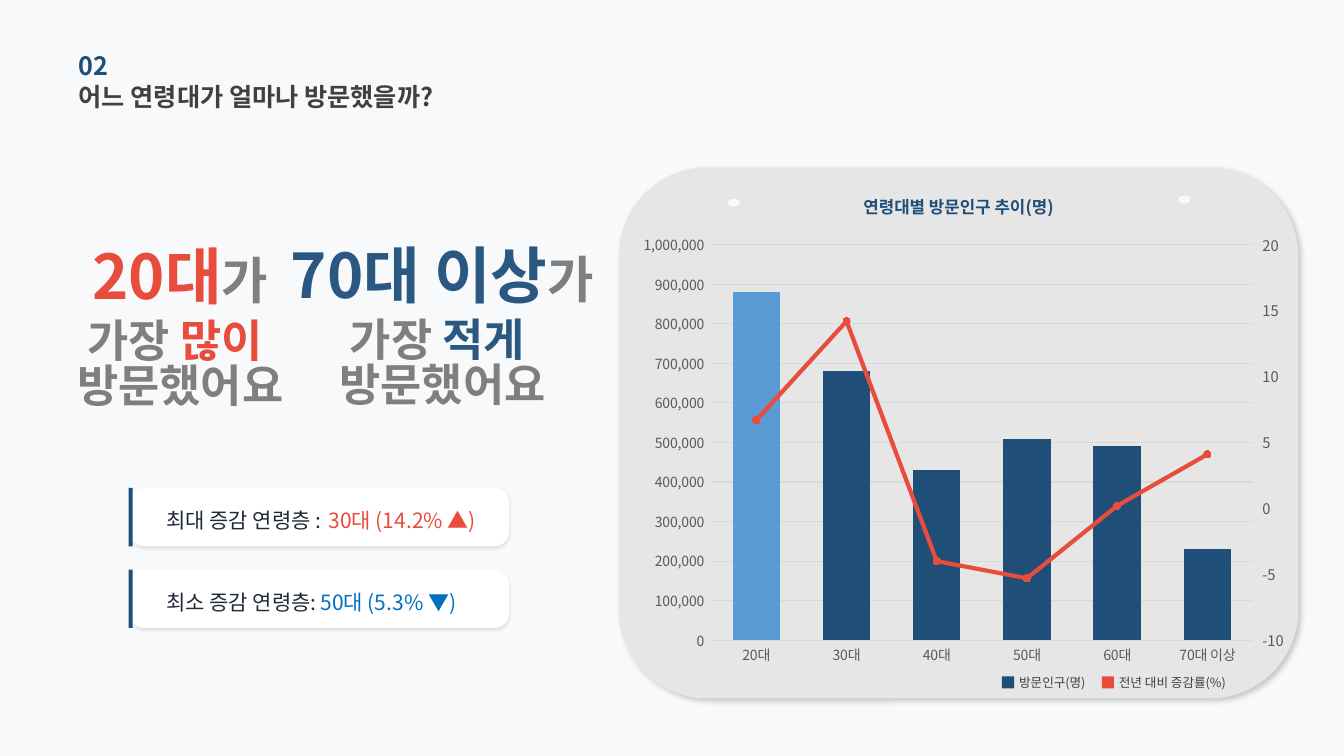
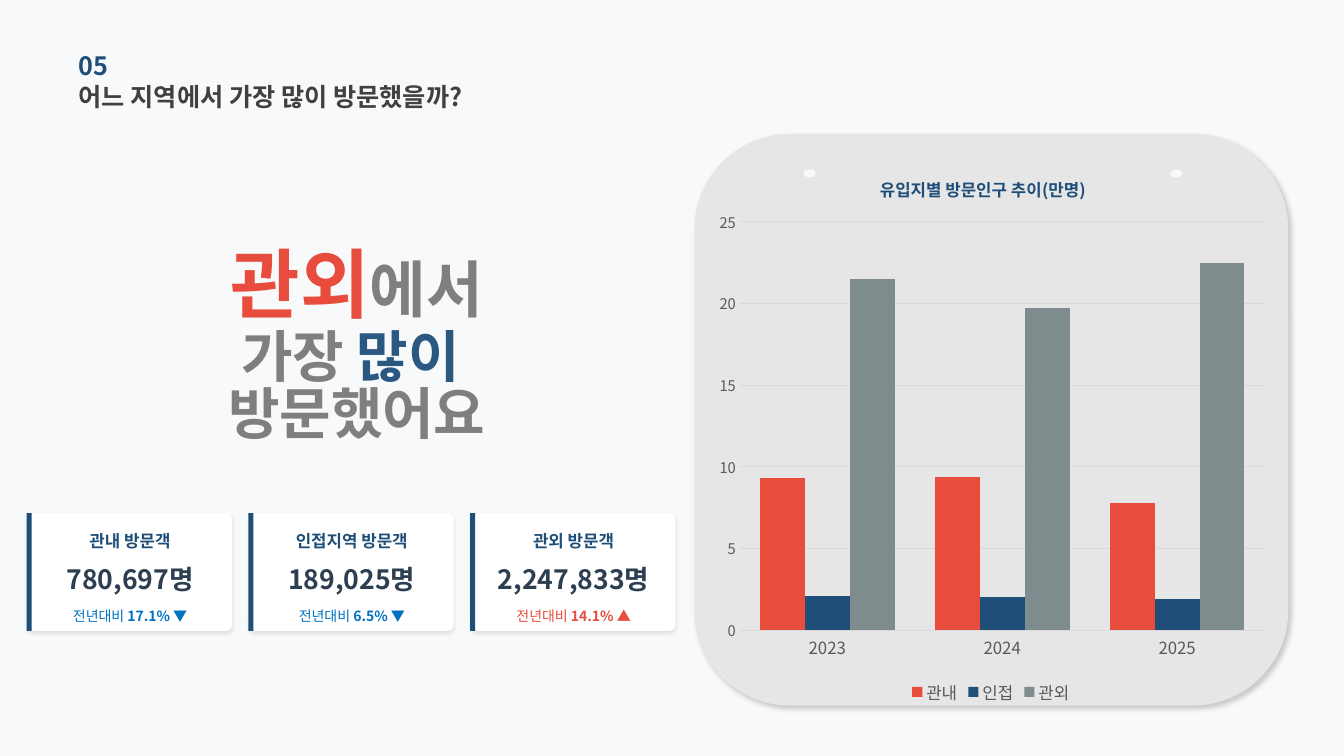
from dataclasses import dataclass
from typing import Any

import pptx
import pptx.chart.data
import pptx.dml.color
import pptx.enum.chart
import pptx.enum.shapes
import pptx.enum.text
import pptx.oxml.ns
import pptx.util

FACE = "Noto Sans CJK KR"
HUES = {
    "page": "F8F9FA", "panel": "E7E6E6", "white": "FFFFFF", "black": "000000",
    "navy": "1F4E79", "steel": "2B5880", "red": "E74C3C", "blue": "0070C0",
    "sky": "5B9BD5", "slate": "7F8C8D", "gray": "7F7F7F", "dark": "404040",
    "ink": "1F2937", "count": "2C3E50", "label": "595959", "grid": "D9D9D9",
}
# The slide is a grid of square cells, ten to the inch
COLS, ROWS = 133.33, 75
CELL = 91440

Box = tuple[float, float, float, float]
FORMS = pptx.enum.shapes.MSO_SHAPE
ALIGN = pptx.enum.text.PP_ALIGN
CHART = pptx.enum.chart
QN = pptx.oxml.ns.qn
NS = pptx.oxml.ns.nsdecls("a", "c")

@dataclass
class Run:
    text: str
    size: float
    hue: str
    bold: bool = False

@dataclass
class Shade:
    alpha: int
    blur: int
    dist: int
    angle: int

@dataclass
class Stat:
    label: str
    count: str
    change: str
    hue: str

DEEP, SOFT, LOW = Shade(20, 4, 3, 45), Shade(10, 2, 1, 90), Shade(10, 3, 2, 90)

def tint(name: str) -> pptx.dml.color.RGBColor:
    return pptx.dml.color.RGBColor.from_string(HUES[name])

def span(box: Box) -> list[int]:
    return [round(n * CELL) for n in box]

def put(item: Any, vals: dict[str, Any]) -> None:
    for key, val in vals.items():
        setattr(item, key, val)

def style(font: Any, size: float, hue: str, bold: bool = False) -> None:
    put(font, {"name": FACE, "size": pptx.util.Pt(size), "bold": bold})
    font.color.rgb = tint(hue)

def paint(fill: Any, hue: str) -> None:
    fill.solid()
    fill.fore_color.rgb = tint(hue)

def pen(line: Any, hue: str, width: float) -> None:
    line.color.rgb = tint(hue)
    line.width = pptx.util.Pt(width)

def shape(slide: Any, form: Any, box: Box, hue: str,
          shade: Shade | None = None, curve: float | None = None) -> None:
    item = slide.shapes.add_shape(form, *span(box))
    item.shadow.inherit = False
    paint(item.fill, hue)
    item.line.fill.background()
    if curve is not None:
        item.adjustments[0] = curve
    if shade:
        item.element.spPr.find(QN("a:effectLst")).append(pptx.oxml.parse_xml(
            f'<a:outerShdw {NS} blurRad="{shade.blur * 12700}" '
            f'dist="{shade.dist * 12700}" dir="{shade.angle * 60000}" '
            f'algn="t" rotWithShape="0"><a:srgbClr val="{HUES["black"]}">'
            f'<a:alpha val="{shade.alpha * 1000}"/></a:srgbClr></a:outerShdw>'))

def text(slide: Any, box: Box, lines: list[list[Run]], mid: bool = False,
         pitch: float | None = None) -> None:
    frame = slide.shapes.add_textbox(*span(box)).text_frame
    put(frame, {"word_wrap": True, "margin_left": 0, "margin_right": 0,
                "margin_top": 0, "margin_bottom": 0,
                "vertical_anchor": pptx.enum.text.MSO_ANCHOR.MIDDLE})
    for i, runs in enumerate(lines):
        para = frame.add_paragraph() if i else frame.paragraphs[0]
        put(para, {"alignment": ALIGN.CENTER if mid else ALIGN.LEFT,
                   "line_spacing": pitch})
        for run in runs:
            part = para.add_run()
            part.text = run.text
            style(part.font, run.size, run.hue, run.bold)

def start(deck: Any, num: str, title: str) -> Any:
    slide = deck.slides.add_slide(deck.slide_layouts[6])
    paint(slide.background.fill, "page")
    for top, line, hue in ((4.4, num, "navy"), (7.5, title, "dark")):
        text(slide, (7.8, top, 52.8, 4.1), [[Run(line, 18, hue, True)]])
    return slide

def board(slide: Any, box: Box, holes: list[tuple[float, float]]) -> None:
    shape(slide, FORMS.ROUNDED_RECTANGLE, box, "panel", DEEP)
    for left, top in holes:
        shape(slide, FORMS.OVAL, (left, top, 1.2, 0.8), "page")

def card(slide: Any, box: Box, bar: float, shade: Shade, curve: float) -> None:
    left, top, _, high = box
    shape(slide, FORMS.ROUNDED_RECTANGLE, box, "white", shade, curve)
    shape(slide, FORMS.RECTANGLE, (left - bar / 3, top, bar, high), "navy")

def claim(slide: Any, mid: float, tops: tuple[float, float], wide: float,
          head: list[Run], lines: list[list[Run]]) -> None:
    left = mid - wide / 2
    text(slide, (left, tops[0], wide, 4.8), [head], True)
    text(slide, (left, tops[1], wide, 8.4), lines, True, 0.84)

# Fix a chart part at shares of the chart's size
def place(part: Any, spots: dict[str, float], rank: int) -> None:
    for old in part.findall(QN("c:layout")):
        part.remove(old)
    rows = '<c:layoutTarget val="inner"/>' if "w" in spots else ""
    rows += '<c:xMode val="edge"/><c:yMode val="edge"/>'
    rows += "".join(f'<c:{key} val="{val}"/>' for key, val in spots.items())
    part.insert(rank, pptx.oxml.parse_xml(
        f"<c:layout {NS}><c:manualLayout>{rows}</c:manualLayout></c:layout>"))

def graph(slide: Any, box: Box, cats: list[str], table: dict[str, list[float]],
          hues: list[str], inner: Box, top: float, step: float, form: str,
          sizes: tuple[float, float], lap: int) -> Any:
    data = pptx.chart.data.CategoryChartData()
    data.categories = cats
    for name, vals in table.items():
        data.add_series(name, vals)
    chart = slide.shapes.add_chart(
        CHART.XL_CHART_TYPE.COLUMN_CLUSTERED, *span(box), data).chart
    put(chart, {"has_legend": False, "has_title": False})
    style(chart.font, 10, "black")
    put(chart.plots[0], {"gap_width": 90, "overlap": lap, "vary_by_categories": False})
    for ser, hue in zip(chart.plots[0].series, hues):
        paint(ser.format.fill, hue)
    cat, val = chart.category_axis, chart.value_axis
    put(val, {"minimum_scale": 0, "maximum_scale": top,
              "major_unit": step, "has_major_gridlines": True})
    put(val.tick_labels, {"number_format": form, "number_format_is_linked": False})
    for axis, size in zip((cat, val), sizes):
        axis.major_tick_mark = CHART.XL_TICK_MARK.NONE
        style(axis.tick_labels.font, size, "label")
    pen(cat.format.line, "grid", 0.75)
    pen(val.major_gridlines.format.line, "grid", 0.75)
    val.format.line.fill.background()
    place(chart.element.find(".//" + QN("c:plotArea")), dict(zip("xywh", inner)), 0)
    return chart

# Turn the last column series into a line on a right-hand axis
def split(chart: Any, hue: str) -> None:
    area = chart.element.find(".//" + QN("c:plotArea"))
    bars = area.find(QN("c:barChart"))
    ser = bars.findall(QN("c:ser"))[-1]
    for flag in ser.findall(QN("c:invertIfNegative")):
        ser.remove(flag)
    line = pptx.oxml.parse_xml(
        f'<c:lineChart {NS}><c:grouping val="standard"/><c:varyColors val="0"/>'
        '<c:marker val="1"/><c:axId val="501"/><c:axId val="502"/></c:lineChart>')
    line.insert(2, ser)
    bars.addnext(line)
    last = area.findall(QN("c:valAx"))[-1]
    cat = (f'<c:catAx {NS}><c:axId val="501"/><c:scaling><c:orientation val="minMax"/>'
           '</c:scaling><c:delete val="1"/><c:axPos val="b"/><c:crossAx val="502"/>'
           '<c:crosses val="autoZero"/></c:catAx>')
    val = (f'<c:valAx {NS}><c:axId val="502"/><c:scaling><c:orientation val="minMax"/>'
           '<c:max val="20"/><c:min val="-10"/></c:scaling><c:delete val="0"/>'
           '<c:axPos val="r"/><c:numFmt formatCode="General" sourceLinked="0"/>'
           '<c:majorTickMark val="out"/><c:minorTickMark val="none"/>'
           '<c:tickLblPos val="nextTo"/><c:spPr><a:ln><a:noFill/></a:ln></c:spPr>'
           '<c:txPr><a:bodyPr/><a:p><a:pPr><a:defRPr sz="1050"><a:solidFill>'
           f'<a:srgbClr val="{HUES["label"]}"/></a:solidFill><a:latin typeface="{FACE}"/>'
           '</a:defRPr></a:pPr><a:endParaRPr/></a:p></c:txPr><c:crossAx val="501"/>'
           '<c:crosses val="max"/><c:majorUnit val="5"/></c:valAx>')
    for axis in (cat, val):
        last.addnext(pptx.oxml.parse_xml(axis))
    rate = chart.plots[1].series[0]
    rate.smooth = False
    pen(rate.format.line, hue, 3)
    put(rate.marker, {"style": CHART.XL_MARKER_STYLE.CIRCLE, "size": 5})
    paint(rate.marker.format.fill, hue)
    pen(rate.marker.format.line, hue, 0.75)

# Give Korean letters the same face as Latin ones
def hangul(*roots: Any) -> None:
    for root in roots:
        for face in list(root.iter(QN("a:latin"))):
            face.addnext(pptx.oxml.parse_xml(f'<a:ea {NS} typeface="{FACE}"/>'))

def ages(deck: Any) -> None:
    slide = start(deck, "02", "어느 연령대가 얼마나 방문했을까?")
    board(slide, (61.4, 16.6, 67.4, 52.7), [(72.2, 19.7), (116.9, 19.4)])
    # Chart key
    for left, hue, name in ((99.4, "navy", "방문인구(명)"),
                            (109.3, "red", "전년 대비 증감률(%)")):
        shape(slide, FORMS.RECTANGLE, (left, 67.1, 1.2, 1.2), hue)
        text(slide, (left + 1.7, 66.8, 13, 1.8), [[Run(name, 9, "dark")]])
    # Claims
    for mid, top, wide, who, much, hue in (
            (17.9, 24.9, 34, "20대", "많이", "red"),
            (43.9, 24.8, 42.9, "70대 이상", "적게", "steel")):
        claim(slide, mid, (top, top + 7.25), wide,
              [Run(who, 44, hue, True), Run("가", 36, "gray", True)],
              [[Run("가장 ", 32, "gray", True), Run(much + " ", 32, hue, True)],
               [Run("방문했어요", 32, "gray", True)]])
    # Facts
    for top, label, left, value, hue in (
            (48.4, "최대 증감 연령층 :", 32.6, "30대 (14.2% ▲)", "red"),
            (56.5, "최소 증감 연령층:", 31.8, "50대 (5.3% ▼)", "blue")):
        card(slide, (12.9, top, 37.6, 5.8), 0.4, SOFT, 0.245)
        text(slide, (16.5, top + 2, 19.3, 2.4), [[Run(label, 15, "ink")]])
        text(slide, (left, top + 2, 19, 2.4), [[Run(value, 15, hue)]])
    # Visitors and yearly change
    chart = graph(
        slide, (62.6, 22.5, 66.3, 44.6), ["20대", "30대", "40대", "50대", "60대", "70대 이상"],
        {"방문인구(명)": [880000, 680000, 430000, 510000, 490000, 230000],
         "전년 대비 증감률(%)": [6.7, 14.2, -4, -5.3, 0.2, 4.1]},
        ["navy"], (0.12, 0.04, 0.81, 0.88), 1000000, 100000, "#,##0_ ", (10, 10), -27)
    split(chart, "red")
    paint(chart.plots[0].series[0].points[0].format.fill, "sky")
    text(slide, (80.3, 19, 29.6, 3),
         [[Run("연령대별 방문인구 추이(명)", 12, "navy", True)]], True)
    hangul(chart.element, slide.element)

def towns(deck: Any) -> None:
    slide = start(deck, "05", "어느 지역에서 가장 많이 방문했을까?")
    board(slide, (68.9, 13.3, 58.9, 56.7), [(79.7, 16.8), (116.1, 16.8)])
    claim(slide, 35.4, (25.6, 34.4), 55.2,
          [Run("관외", 54, "red", True), Run("에서", 44, "gray", True)],
          [[Run("가장", 40, "gray", True), Run(" 많이 ", 40, "steel", True)],
           [Run("방문했어요", 40, "gray", True)]])
    # Visitor cards
    stats = [Stat("관내 방문객", "780,697명", "17.1% ▼", "blue"),
             Stat("인접지역 방문객", "189,025명", "6.5% ▼", "blue"),
             Stat("관외 방문객", "2,247,833명", "14.1% ▲", "red")]
    for i, stat in enumerate(stats):
        left, wide = 2.8 + 22 * i, 20.2
        card(slide, (left, 50.9, wide, 11.7), 0.5, LOW, 0.05)
        for top, high, runs in (
                (52.5, 2.2, [Run(stat.label, 12, "navy", True)]),
                (55.7, 3.4, [Run(stat.count, 19, "count", True)]),
                (60.1, 2, [Run("전년대비 ", 10, stat.hue),
                           Run(stat.change, 10, stat.hue, True)])):
            text(slide, (left, top, wide, high), [runs], True)
    # Visitors by origin
    chart = graph(
        slide, (70, 14.8, 56.6, 55.5), ["2023", "2024", "2025"],
        {"관내": [9.3, 9.4, 7.8], "인접": [2.1, 2, 1.9], "관외": [21.5, 19.7, 22.5]},
        ["red", "navy", "slate"], (0.06, 0.13, 0.92, 0.73), 25, 5, "General", (12, 10.5), 0)
    chart.has_legend = True
    put(chart.legend, {"position": CHART.XL_LEGEND_POSITION.BOTTOM,
                       "include_in_layout": False})
    style(chart.legend.font, 12, "label")
    run = chart.chart_title.text_frame.paragraphs[0].add_run()
    run.text = "유입지별 방문인구 추이(만명)"
    style(run.font, 12, "navy", True)
    place(chart.element.find(".//" + QN("c:title")), {"x": 0.3, "y": 0.04}, 1)
    hangul(chart.element, slide.element)

def main() -> None:
    deck = pptx.Presentation()
    put(deck, {"slide_width": round(COLS * CELL), "slide_height": ROWS * CELL})
    ages(deck)
    towns(deck)
    deck.save("out.pptx")

if __name__ == "__main__":
    main()
